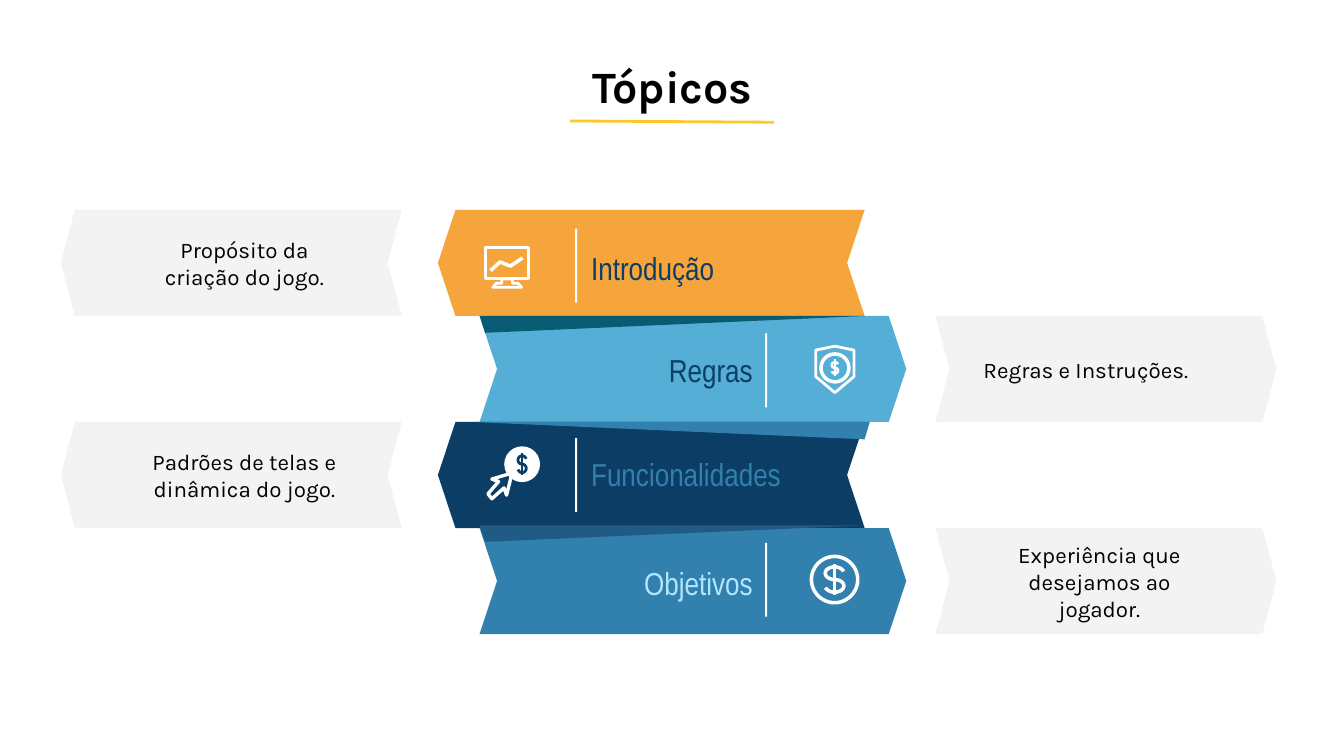
from math import cos, radians, sin

from lxml.etree import SubElement
from pptx import Presentation
from pptx.dml.color import RGBColor
from pptx.enum.shapes import MSO_CONNECTOR, MSO_SHAPE
from pptx.enum.text import MSO_ANCHOR, PP_ALIGN
from pptx.oxml.ns import qn
from pptx.util import Pt

COLORS = {
    "panel": "F3F3F3", "text": "000000", "white": "FFFFFF", "underline": "FEC928",
    "orange": "F6A53C", "sky": "54AED6", "navy": "0C3E65", "blue": "3280AD",
    "teal": "075B72", "deep": "1F5B84", "label": "0D3E65", "ice": "B0E6FF",
}
TOP, STEP = 112.5, 56.8
INSET, WIDE_INSET = 7.2, 21.6


class SlideBuilder:
    def __init__(self, page):
        self.page = page
        self.body_font = "Karla"
        self.label_font = "Arial Narrow"

    def paint(self, shape, fill=None, line=None, weight=0.75):
        shape.shadow.inherit = False
        for part, color in ((shape.fill, fill), (shape.line.fill, line)):
            if color:
                part.solid()
                part.fore_color.rgb = RGBColor.from_string(COLORS[color])
            else:
                part.background()
        if line:
            shape.line.width = Pt(weight)

    def outline(self, points, close=True, **style):
        (first_x, first_y), *others = points
        builder = self.page.shapes.build_freeform(Pt(first_x), Pt(first_y))
        builder.add_line_segments([(Pt(x), Pt(y)) for x, y in others], close=close)
        self.paint(builder.convert_to_shape(), **style)

    def preset(self, kind, left, top, width, height, **style):
        shape = self.page.shapes.add_shape(kind, Pt(left), Pt(top), Pt(width), Pt(height))
        self.paint(shape, **style)

    def disc(self, x, y, radius, **style):
        self.preset(MSO_SHAPE.OVAL, x - radius, y - radius, 2 * radius, 2 * radius, **style)

    def ribbon(self, left, top, width, notch, color, points_right):
        """Draw a band with one pointed end and one notched end."""
        right, middle, bottom = left + width, top + STEP / 2, top + STEP
        points = [(left + notch, top), (left, middle), (left + notch, bottom),
                  (right, bottom), (right - notch, middle), (right, top)]
        if points_right:
            points = [(left + right - x, y) for x, y in points]
        self.outline(points, fill=color)

    def text(self, content, left, top, width, height, size, color="text", font=None,
             align=PP_ALIGN.CENTER, anchor=MSO_ANCHOR.MIDDLE, insets=(INSET, INSET), bold=False):
        box = self.page.shapes.add_textbox(Pt(left), Pt(top), Pt(width), Pt(height))
        frame = box.text_frame
        frame.word_wrap = True
        frame.vertical_anchor = anchor
        frame.margin_left, frame.margin_right = (Pt(inset) for inset in insets)
        frame.margin_top = frame.margin_bottom = Pt(INSET)
        frame.text = content
        para = frame.paragraphs[0]
        para.alignment = align
        span = para.runs[0]
        span.font.name = font or self.body_font
        span.font.size = Pt(size)
        span.font.bold = bold
        span.font.color.rgb = RGBColor.from_string(COLORS[color])

    def line(self, x1, y1, x2, y2, color, weight):
        connector = self.page.shapes.add_connector(
            MSO_CONNECTOR.STRAIGHT, Pt(x1), Pt(y1), Pt(x2), Pt(y2))
        connector.line.color.rgb = RGBColor.from_string(COLORS[color])
        connector.line.width = Pt(weight)
        SubElement(connector._element.spPr, qn("a:effectLst"))

    def dollar(self, x, y, width, height, color, weight):
        """Draw a dollar sign centred on x, y from two arcs and a bar."""
        curve = [(x + width / 2 * cos(radians(angle)),
                  y + height / 4 * (side - sin(radians(angle))))
                 for side, angles in ((-1, range(15, 271, 15)), (1, range(90, -166, -15)))
                 for angle in angles]
        self.outline(curve, close=False, line=color, weight=weight)
        reach = height / 2 + 1.5
        self.line(x, y - reach, x, y + reach, color, weight)

    def chart_icon(self):
        self.preset(MSO_SHAPE.RECTANGLE, 260.2, 132.8, 23, 16.6, line="white", weight=1.7)
        self.outline([(262.8, 145), (267.9, 140.4), (273.4, 142.6), (280, 138.2)],
                     close=False, line="white", weight=1.9)
        self.outline([(268.8, 149.4), (268.8, 151.7), (266, 151.7), (264, 153.9),
                      (279.4, 153.9), (277.4, 151.7), (274.6, 151.7), (274.6, 149.4)],
                     line="white", weight=1.5)

    def shield_icon(self):
        self.outline([(447.3, 185.5), (457.5, 187.6), (457.5, 201.8), (447.3, 210.4),
                      (437, 201.8), (437, 187.6)], line="white", weight=1.5)
        self.disc(447.3, 197.1, 7.5, line="white", weight=1.9)
        self.dollar(447.3, 197.1, 3.3, 6, "white", 1.4)

    def click_icon(self):
        self.outline([(274.3, 253.4), (263.5, 256.7), (267.1, 258), (261.4, 264.6),
                      (263.5, 267.2), (270, 261.4), (271.4, 265.3)],
                     line="white", weight=1.8)
        self.disc(279.7, 248.7, 9.6, fill="white")
        self.dollar(279.7, 248.7, 4.4, 9, "navy", 1.5)

    def coin_icon(self):
        self.disc(447.1, 310.5, 12.4, line="white", weight=1.9)
        self.dollar(447.1, 310.5, 10, 13.6, "white", 1.9)


def main():
    deck = Presentation()
    deck.slide_width, deck.slide_height = Pt(720), Pt(405)
    page = deck.slides.add_slide(deck.slide_layouts[6])
    slide = SlideBuilder(page)

    slide.text("Tópicos", 14.4, 24.5, 691.9, 45.4, 24, anchor=MSO_ANCHOR.TOP, bold=True)
    slide.line(305.3, 64.8, 414.7, 65.5, "underline", 1.5)

    # Label, its colour, its top, ribbon colour, caption, caption's left inset, icon
    topics = [
        ("Introdução", "label", 126.7, "orange", "Propósito da criação do jogo.",
         WIDE_INSET, slide.chart_icon),
        ("Regras", "label", 181.4, "sky", "Regras e Instruções.",
         INSET, slide.shield_icon),
        ("Funcionalidades", "blue", 236.9, "navy", "Padrões de telas e dinâmica do jogo.",
         WIDE_INSET, slide.click_icon),
        ("Objetivos", "ice", 295.2, "blue", "Experiência que desejamos ao jogador.",
         WIDE_INSET, slide.coin_icon),
    ]
    folds = {
        1: ("teal", [(257, 169.3), (259.9, 178.3), (463.2, 169.3)]),
        2: ("blue", [(253.4, 226.1), (463.2, 235.4), (466, 226.1)]),
        3: ("deep", [(257, 281.5), (259.9, 290.3), (463.2, 281.5)]),
    }
    for row, (label, label_color, label_top, color, caption, inset, icon) in enumerate(topics):
        top = TOP + row * STEP
        on_right = row % 2 == 1
        slide.ribbon(501.2 if on_right else 32.6, top, 182.6, 7.5, "panel", on_right)
        slide.text(caption, 513.4 if on_right else 55.4, top + 8.7, 151.2, 39.6, 12,
                   insets=(inset, WIDE_INSET))
        slide.ribbon(256.9 if on_right else 234.6, top, 228.6, 9.4, color, on_right)
        if row in folds:
            fold_color, corners = folds[row]
            slide.outline(corners, fill=fold_color)
        slide.preset(MSO_SHAPE.RECTANGLE, 409.9 if on_right else 308.1,
                     122.5 + row * 56.1, 1.2, 39.6, fill="white")
        slide.text(label, 259.2 if on_right else 309.6, label_top, 151.2, 33.8, 17,
                   label_color, slide.label_font,
                   PP_ALIGN.RIGHT if on_right else PP_ALIGN.LEFT)
        icon()

    deck.save("out.pptx")


if __name__ == "__main__":
    main()
